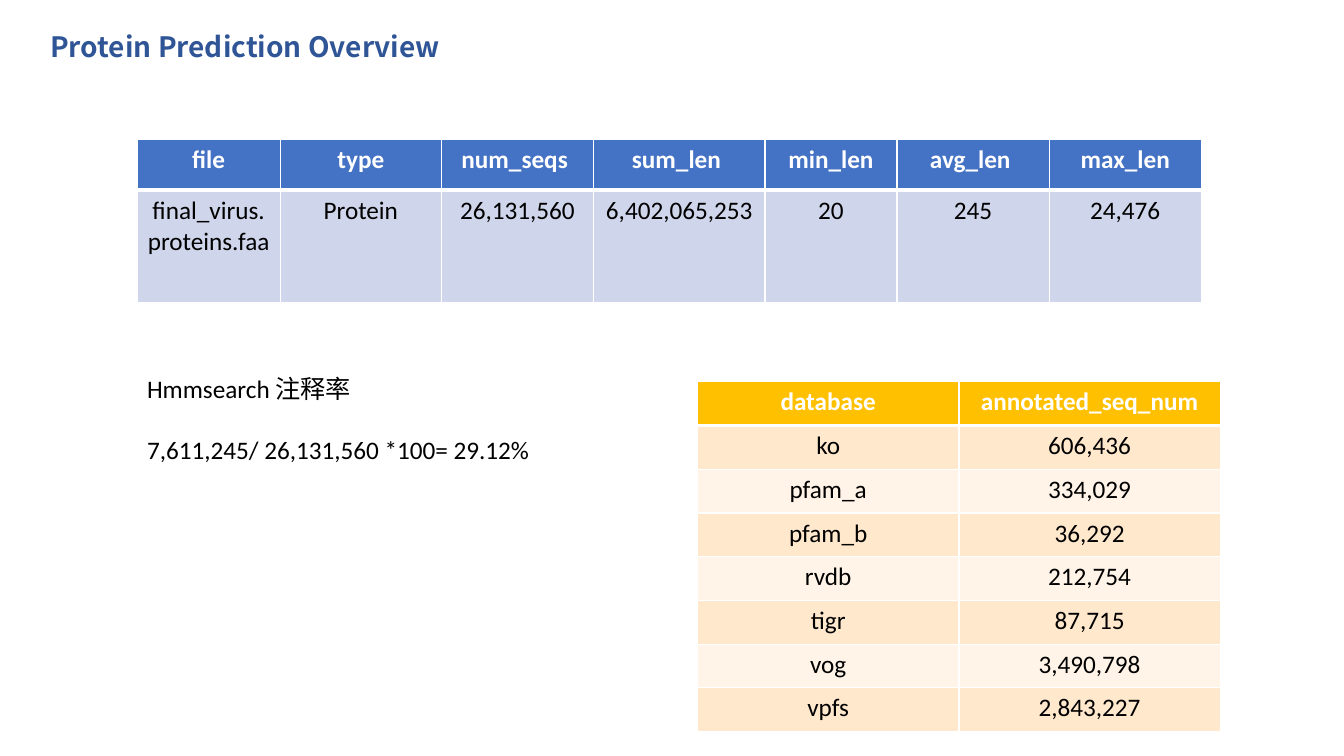
from dataclasses import dataclass
from lxml.etree import SubElement
from pptx import Presentation
from pptx.dml.color import RGBColor
from pptx.enum.text import MSO_AUTO_SIZE, PP_ALIGN
from pptx.oxml.ns import qn
from pptx.util import Inches, Pt


@dataclass(frozen=True)
class Theme:
    title_font: str = "Noto Sans CJK SC"
    body_font: str = "Calibri"
    title_size: int = 20
    body_size: int = 18
    title: str = "2F5597"
    text: str = "000000"
    white: str = "FFFFFF"
    thin: int = 1
    thick: int = 3
    blue: tuple = ("4472C4", "CFD5EA", "E9EBF5")
    gold: tuple = ("FFC000", "FFE8CC", "FFF4E7")


THEME = Theme()
WIDTH, HEIGHT = 13.33, 7.5

SEQUENCES = [
    ("file", "type", "num_seqs ", "sum_len ", "min_len", "avg_len ", "max_len"),
    ("final_virus.proteins.faa ", "Protein", "26,131,560", "6,402,065,253",
     "20", "245", "24,476"),
]
DATABASES = [
    ("database", "annotated_seq_num"),
    ("ko", "606,436"),
    ("pfam_a", "334,029"),
    ("pfam_b", "36,292"),
    ("rvdb", "212,754"),
    ("tigr", "87,715"),
    ("vog", "3,490,798"),
    ("vpfs", "2,843,227"),
]
ANNOTATION_RATE = ["Hmmsearch 注释率", "7,611,245/ 26,131,560 *100= 29.12%"]


def share(x, y, w, h):
    """Turn shares of the slide's size into lengths."""
    return (Inches(x * WIDTH), Inches(y * HEIGHT),
            Inches(w * WIDTH), Inches(h * HEIGHT))


def style(p, font, size, color, bold=False):
    p.font.name, p.font.size, p.font.bold = font, Pt(size), bold
    p.font.color.rgb = RGBColor.from_string(color)


def add_text(slide, box, lines, font, size, color, bold=False, gap=0):
    tf = slide.shapes.add_textbox(*box).text_frame
    tf.word_wrap = False
    tf.auto_size = MSO_AUTO_SIZE.SHAPE_TO_FIT_TEXT
    for i, line in enumerate(lines):
        p = tf.add_paragraph() if i else tf.paragraphs[0]
        p.text = line
        style(p, font, size, color, bold)
        if i:
            p.space_before = Pt(gap)


def add_borders(cell, top, bottom):
    tc_pr = cell._tc.get_or_add_tcPr()
    sides = {"L": THEME.thin, "R": THEME.thin, "T": top, "B": bottom}
    for side, width in sides.items():
        ln = SubElement(tc_pr, qn(f"a:ln{side}"), w=str(Pt(width)))
        fill = SubElement(ln, qn("a:solidFill"))
        SubElement(fill, qn("a:srgbClr"), val=THEME.white)


def add_banded_table(slide, box, rows, col_weights, row_weights, colors):
    left, top, width, height = box
    table = slide.shapes.add_table(len(rows), len(rows[0]), *box).table
    for col, weight in zip(table.columns, col_weights):
        col.width = int(width * weight / sum(col_weights))
    for row, weight in zip(table.rows, row_weights):
        row.height = int(height * weight / sum(row_weights))
    header, *bands = colors
    for r, values in enumerate(rows):
        is_header = r == 0
        fill = header if is_header else bands[(r - 1) % len(bands)]
        for c, value in enumerate(values):
            cell = table.cell(r, c)
            add_borders(cell, THEME.thick if r == 1 else THEME.thin,
                        THEME.thick if is_header else THEME.thin)
            cell.fill.solid()
            cell.fill.fore_color.rgb = RGBColor.from_string(fill)
            p = cell.text_frame.paragraphs[0]
            p.text = value
            p.alignment = PP_ALIGN.CENTER
            style(p, THEME.body_font, THEME.body_size,
                  THEME.white if is_header else THEME.text, is_header)


def add_overview_slide(prs):
    slide = prs.slides.add_slide(prs.slide_layouts[6])
    add_text(slide, share(0.03, 0.033, 0.313, 0.058),
             ["Protein Prediction Overview"], THEME.title_font,
             THEME.title_size, THEME.title, bold=True)
    add_banded_table(slide, share(0.102, 0.185, 0.792, 0.216), SEQUENCES,
                     (1.42, 1.6, 1.51, 1.7, 1.31, 1.51, 1.51), (0.5, 1.12),
                     THEME.blue)
    add_text(slide, share(0.102, 0.487, 0.303, 0.135), ANNOTATION_RATE,
             THEME.body_font, THEME.body_size, THEME.text, gap=22)
    add_banded_table(slide, share(0.519, 0.505, 0.389, 0.463), DATABASES,
                     (1, 1), (1,) * len(DATABASES), THEME.gold)


def main():
    prs = Presentation()
    prs.slide_width, prs.slide_height = Inches(WIDTH), Inches(HEIGHT)
    add_overview_slide(prs)
    prs.save("out.pptx")


if __name__ == "__main__":
    main()
